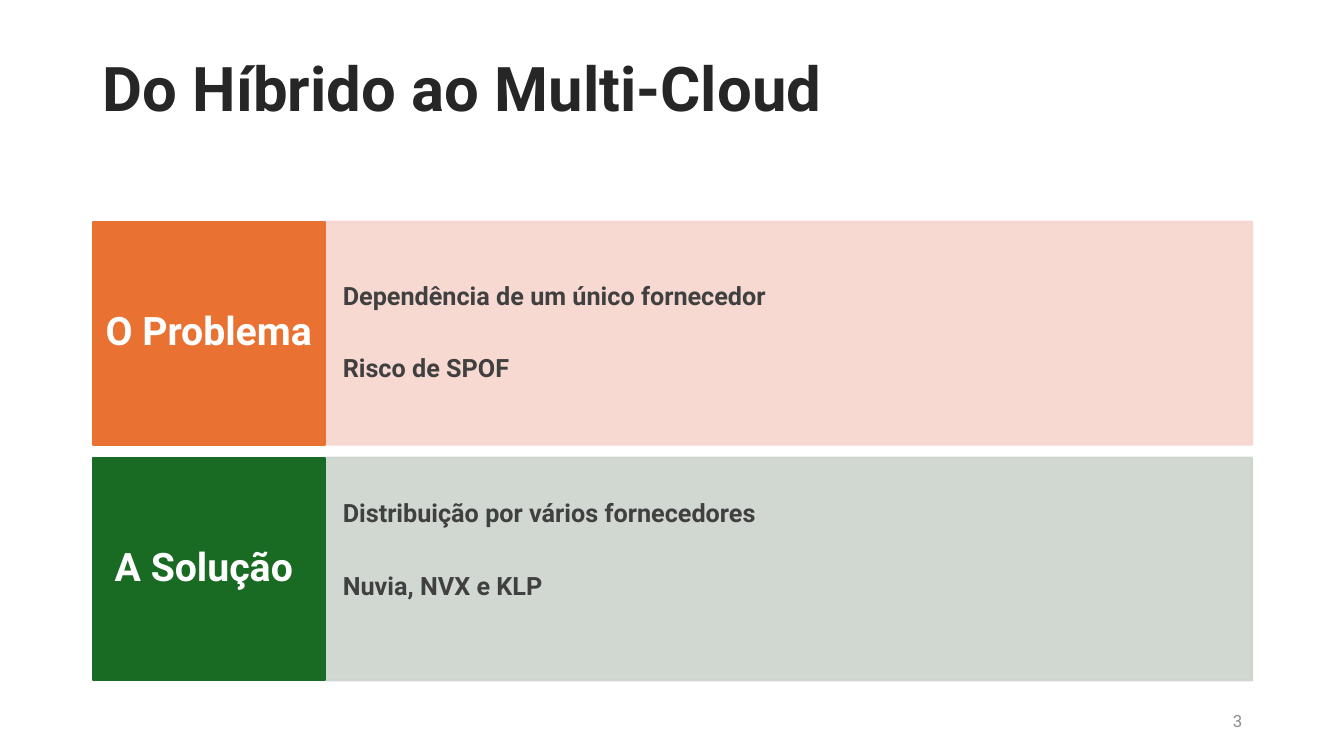
from lxml import etree
from pptx import Presentation
from pptx.dml.color import RGBColor
from pptx.enum.shapes import MSO_SHAPE
from pptx.enum.text import MSO_ANCHOR, PP_ALIGN
from pptx.oxml.ns import qn
from pptx.util import Inches, Pt

RECTANGLE = MSO_SHAPE.RECTANGLE
MIDDLE = MSO_ANCHOR.MIDDLE
LEFT, CENTER, RIGHT = PP_ALIGN.LEFT, PP_ALIGN.CENTER, PP_ALIGN.RIGHT

TITLE = "Do Híbrido ao Multi-Cloud"
PAGE_NUMBER = "3"
# Bottom inset sets how high the points sit in their panel.
ROWS = [
    {"label": "O Problema", "label_fill": "E97132", "panel_fill": "F7D5CE", "bottom": 0.1,
     "points": ["Dependência de um único fornecedor", "Risco de SPOF"]},
    {"label": "A Solução ", "label_fill": "196B24", "panel_fill": "CCD4CD", "bottom": 0.46,
     "points": ["Distribuição por vários fornecedores", "Nuvia, NVX e KLP"]},
]

THEME = {
    "font": "Roboto",
    "title": {"size": 44, "color": "262626", "bold": True},
    "label": {"size": 28, "color": "FFFFFF", "bold": True},
    "point": {"size": 18, "color": "404040", "bold": True},
    "number": {"size": 12, "color": "8C8C8C", "bold": False},
    "panel_opacity": 90,
    "line_width": 1.5,
}

MARGIN = 0.92
CONTENT_WIDTH = 11.5
LABEL_WIDTH = 2.3
ROW_TOP, ROW_HEIGHT, ROW_GAP = 2.2, 2.21, 0.13
POINT_GAP = 32.4


def write_text(shape, lines, style, align=LEFT, insets=(0.1, 0.05, 0.1, 0.05),
               line_spacing=0.9, gap=0):
    frame = shape.text_frame
    left, top, right, bottom = (Inches(inset) for inset in insets)
    frame_format = {"word_wrap": True, "vertical_anchor": MIDDLE, "margin_left": left,
                    "margin_top": top, "margin_right": right, "margin_bottom": bottom}
    for name, value in frame_format.items():
        setattr(frame, name, value)
    font_format = {"name": THEME["font"], "size": Pt(style["size"]), "bold": style["bold"]}
    for index, line in enumerate(lines):
        paragraph = frame.add_paragraph() if index else frame.paragraphs[0]
        paragraph.alignment = align
        paragraph.line_spacing = line_spacing
        paragraph.space_before = Pt(gap if index else 0)
        run = paragraph.add_run()
        run.text = line
        for name, value in font_format.items():
            setattr(run.font, name, value)
        run.font.color.rgb = RGBColor.from_string(style["color"])


def add_text_box(slide, box, text, style, **options):
    shape = slide.shapes.add_textbox(*(Inches(length) for length in box))
    write_text(shape, [text], style, **options)


def add_block(slide, box, color, opacity=100):
    shape = slide.shapes.add_shape(RECTANGLE, *(Inches(length) for length in box))
    shape.shadow.inherit = False
    shape.line.width = Pt(THEME["line_width"])
    shape.fill.solid()
    for paint in (shape.fill.fore_color, shape.line.color):
        paint.rgb = RGBColor.from_string(color)
    if opacity < 100:
        for element in shape.element.spPr.iter(qn("a:srgbClr")):
            etree.SubElement(element, qn("a:alpha"), val=str(opacity * 1000))
    return shape


def add_row(slide, row, top):
    panel_left = MARGIN + LABEL_WIDTH
    panel_width = CONTENT_WIDTH - LABEL_WIDTH
    panel = add_block(slide, (panel_left, top, panel_width, ROW_HEIGHT),
                      row["panel_fill"], THEME["panel_opacity"])
    write_text(panel, row["points"], THEME["point"],
               insets=(0.18, 0.1, 0.18, row["bottom"]), gap=POINT_GAP)
    label = add_block(slide, (MARGIN, top, LABEL_WIDTH, ROW_HEIGHT), row["label_fill"])
    write_text(label, [row["label"]], THEME["label"], align=CENTER,
               insets=(0.12, 0.22, 0.12, 0.22))


def main():
    presentation = Presentation()
    presentation.slide_width = Inches(13.33)
    presentation.slide_height = Inches(7.5)
    slide = presentation.slides.add_slide(presentation.slide_layouts[6])
    add_text_box(slide, (MARGIN, 0.4, CONTENT_WIDTH, 1.02), TITLE, THEME["title"])
    for index, row in enumerate(ROWS):
        add_row(slide, row, ROW_TOP + index * (ROW_HEIGHT + ROW_GAP))
    add_text_box(slide, (9.42, 6.95, 3, 0.4), PAGE_NUMBER, THEME["number"],
                 align=RIGHT, line_spacing=1.0)
    presentation.save("out.pptx")


if __name__ == "__main__":
    main()
